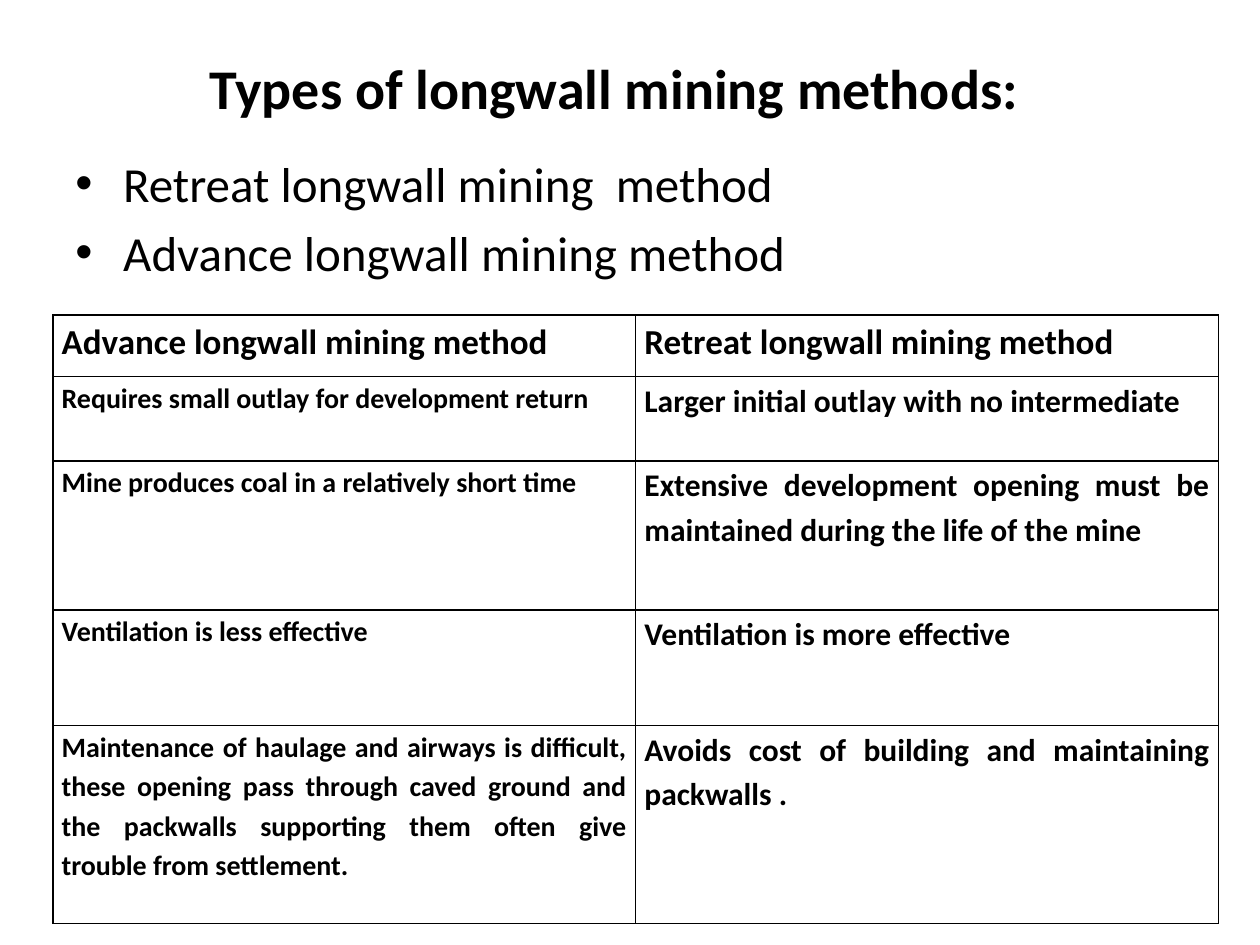
from lxml import etree
from pptx import Presentation
from pptx.dml.color import RGBColor
from pptx.enum.text import MSO_ANCHOR, PP_ALIGN
from pptx.oxml.ns import qn
from pptx.util import Inches, Pt

CENTER, JUSTIFY = PP_ALIGN.CENTER, PP_ALIGN.JUSTIFY
MIDDLE, TOP = MSO_ANCHOR.MIDDLE, MSO_ANCHOR.TOP
BLACK = RGBColor(0, 0, 0)
WHITE = RGBColor(255, 255, 255)
FONT = "Calibri"

TITLE = "Types of longwall mining methods:"
METHODS = ["Retreat longwall mining  method", "Advance longwall mining method"]
COMPARISON = [
    ("Advance longwall mining method", "Retreat longwall mining method"),
    ("Requires small outlay for development return",
     "Larger initial outlay with no intermediate"),
    ("Mine produces coal in a relatively short time",
     "Extensive development opening must be maintained during the life of the mine"),
    ("Ventilation is less effective", "Ventilation is more effective"),
    ("Maintenance of haulage and airways is difficult, these opening pass through "
     "caved ground and the packwalls supporting them often give trouble from settlement.",
     "Avoids cost of building and maintaining packwalls ."),
]
ROW_HEIGHTS = [0.49, 0.67, 1.18, 0.92, 1.57]
HEADER_SIZE = 20
COLUMN_SIZES = (16, 18)
TABLE_LEFT, TABLE_TOP, TABLE_WIDTH = 0.42, 2.5, 9.25
INDENT = Inches(0.38)


def format_text(para, size, bold):
    for span in para.runs:
        span.font.name = FONT
        span.font.size = Pt(size)
        span.font.bold = bold
        span.font.color.rgb = BLACK


def add_bullet(para):
    properties = para._p.get_or_add_pPr()
    properties.set("marL", str(INDENT))
    properties.set("indent", str(-INDENT))
    etree.SubElement(properties, qn("a:buFont")).set("typeface", "Arial")
    etree.SubElement(properties, qn("a:buChar")).set("char", "•")


def add_borders(cell):
    properties = cell._tc.get_or_add_tcPr()
    for position, side in enumerate(("lnL", "lnR", "lnT", "lnB")):
        line = etree.Element(qn(f"a:{side}"), w=str(Pt(1)))
        fill = etree.SubElement(line, qn("a:solidFill"))
        etree.SubElement(fill, qn("a:srgbClr")).set("val", str(BLACK))
        properties.insert(position, line)


def add_title(page):
    title = page.shapes.title
    title.left, title.top = Inches(0.5), Inches(0.3)
    title.width, title.height = Inches(8.75), Inches(0.78)
    frame = title.text_frame
    frame.text = TITLE
    frame.vertical_anchor = MIDDLE
    frame.paragraphs[0].alignment = CENTER
    format_text(frame.paragraphs[0], 32, True)


def add_methods(page):
    box = page.shapes.add_textbox(Inches(0.5), Inches(1.17), Inches(6.5), Inches(1.42))
    frame = box.text_frame
    frame.word_wrap = True
    for index, method in enumerate(METHODS):
        para = frame.paragraphs[0] if index == 0 else frame.add_paragraph()
        para.text = method
        add_bullet(para)
        para.space_before = Pt(5.6 if index else 0)
        format_text(para, 28, False)


def add_comparison(page):
    table = page.shapes.add_table(
        len(COMPARISON), len(COLUMN_SIZES), Inches(TABLE_LEFT), Inches(TABLE_TOP),
        Inches(TABLE_WIDTH), Inches(sum(ROW_HEIGHTS))).table
    for row, height in zip(table.rows, ROW_HEIGHTS):
        row.height = Inches(height)
    for row_index, texts in enumerate(COMPARISON):
        for column_index, text in enumerate(texts):
            cell = table.cell(row_index, column_index)
            cell.fill.solid()
            cell.fill.fore_color.rgb = WHITE
            cell.margin_left = cell.margin_right = Inches(0.07)
            cell.margin_top = cell.margin_bottom = 0
            cell.vertical_anchor = TOP
            add_borders(cell)
            para = cell.text_frame.paragraphs[0]
            para.text = text
            para.alignment = JUSTIFY
            para.line_spacing = 1.15
            size = COLUMN_SIZES[column_index] if row_index else HEADER_SIZE
            format_text(para, size, True)


def main():
    deck = Presentation()
    deck.slide_width, deck.slide_height = Inches(10), Inches(7.5)
    page = deck.slides.add_slide(deck.slide_layouts[5])
    add_title(page)
    add_methods(page)
    add_comparison(page)
    deck.save("out.pptx")


if __name__ == "__main__":
    main()
